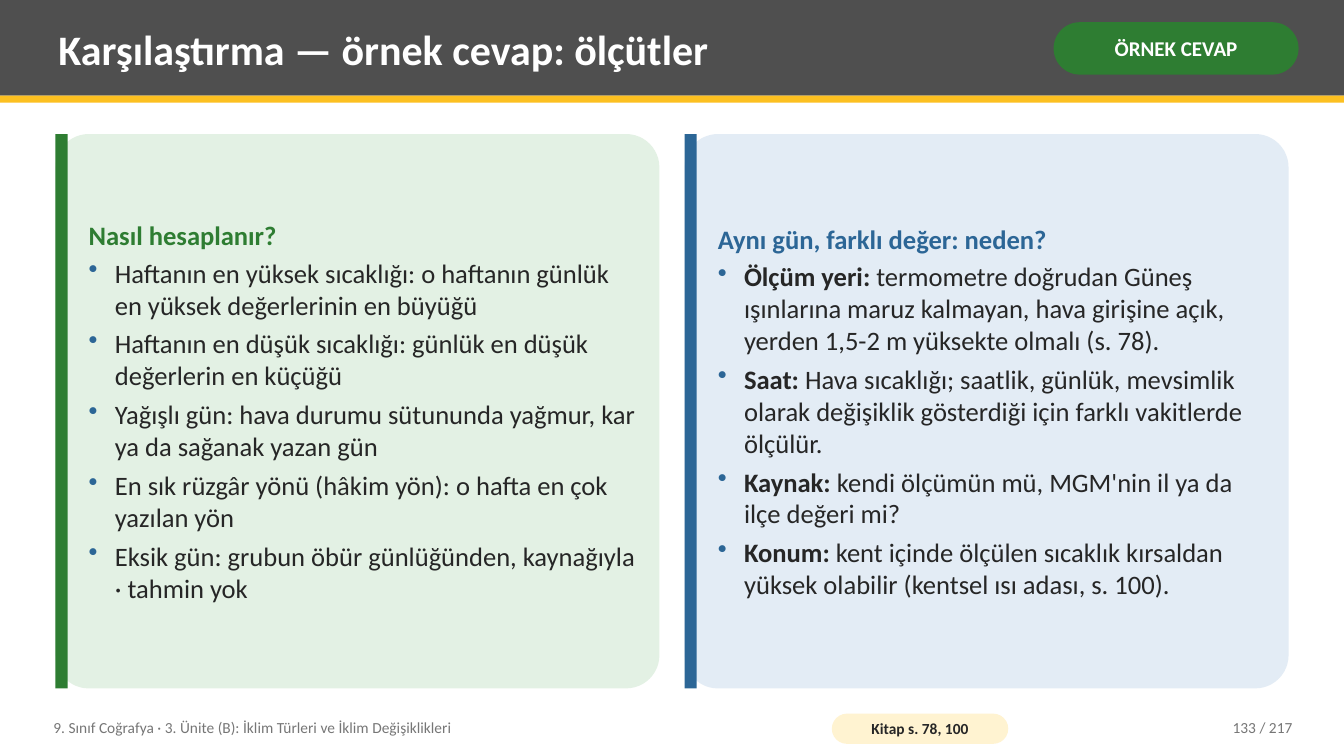
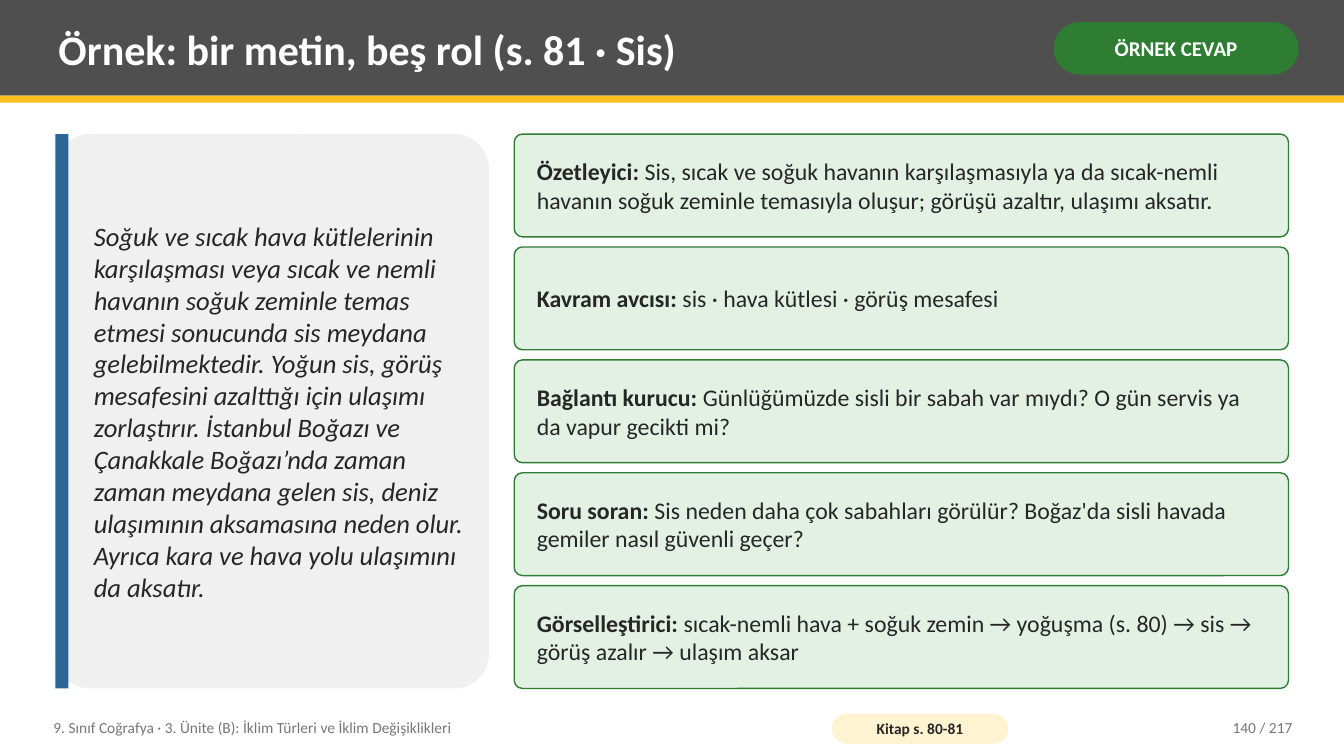
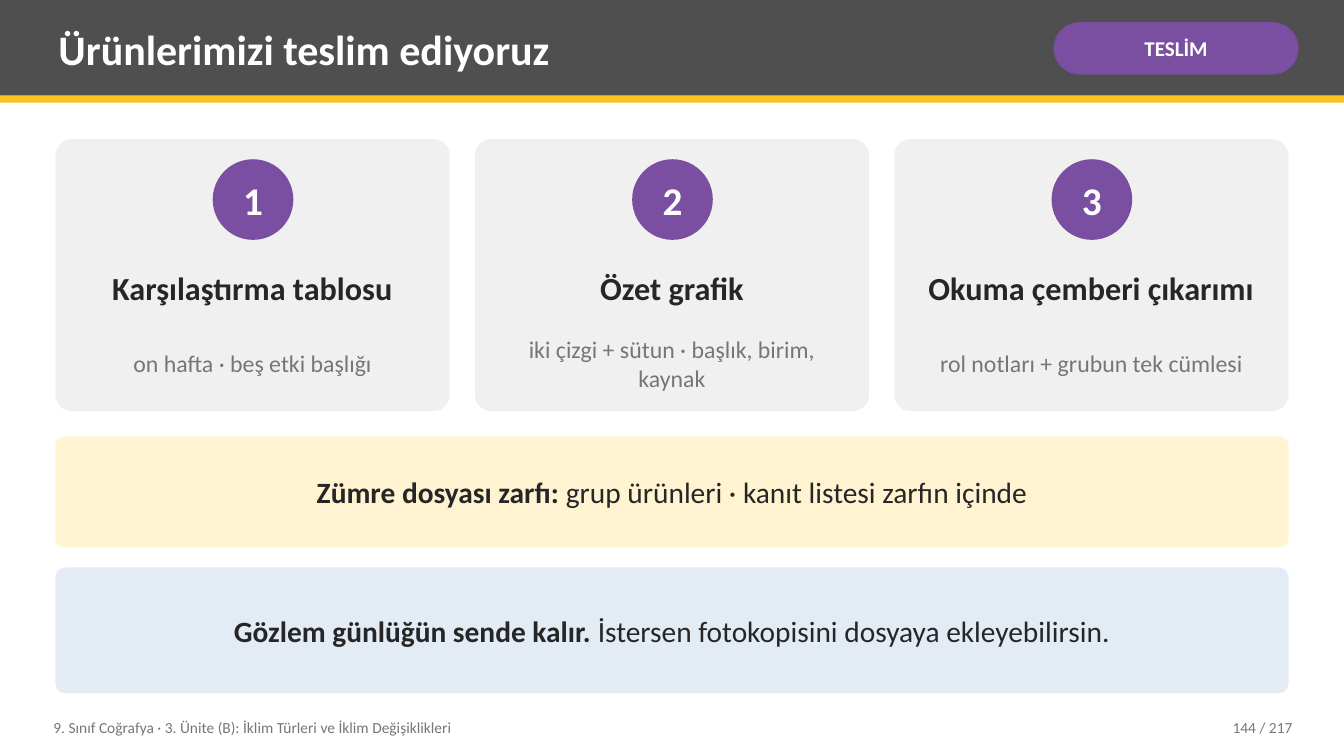
import pptx
import pptx.util
import pptx.dml.color
import pptx.enum.shapes
import pptx.enum.text
import lxml.etree
from pptx.oxml.ns import qn


class Theme:
    font = "Calibri"
    white, dark, gold = "FFFFFF", "4F4F4F", "FCC021"
    ink, muted = "262626", "767676"
    green, blue, purple = "2E7D32", "2C6696", "7A4EA0"
    mint, sky, cream, grey = "E3F1E4", "E3ECF5", "FFF3D1", "F0F0F0"
    title, digit, name, note = 30, 28, 23, 21
    body, role, tag, foot = 19, 17, 15, 11


PX = 9144  # 100 px to the inch
LEFT, WIDE, GAP = 55, 1223, 25
TOP, TALL = 133, 550

Pt = pptx.util.Pt
Rgb = pptx.dml.color.RGBColor.from_string
Kind = pptx.enum.shapes.MSO_SHAPE
Align = pptx.enum.text.PP_ALIGN


def put(slide, at, fill=None, kind=Kind.RECTANGLE, curve=None, edge=None):
    """Add a shape at px (left, top, width, height), or a text box if no fill."""
    at = [n * PX for n in at]
    if fill is None:
        return slide.shapes.add_textbox(*at)
    if curve is not None:
        kind = Kind.ROUNDED_RECTANGLE
    shape = slide.shapes.add_shape(kind, *at)
    shape.shadow.inherit = False
    shape.fill.solid()
    shape.fill.fore_color.rgb = Rgb(fill)
    if curve is not None:
        shape.adjustments[0] = curve
    if edge:
        shape.line.color.rgb = Rgb(edge)
        shape.line.width = Pt(1)
    else:
        shape.line.fill.background()
    return shape


def say(shape, size, ink, *runs, align=Align.LEFT, pad=(8, 4), after=0, dot=None):
    """Add one paragraph of (text, style) runs; style holds b and i letters."""
    frame = shape.text_frame
    frame.word_wrap = True
    frame.vertical_anchor = pptx.enum.text.MSO_ANCHOR.MIDDLE
    frame.margin_left = frame.margin_right = pad[0] * PX
    frame.margin_top = frame.margin_bottom = pad[1] * PX
    para = frame.add_paragraph() if frame.text else frame.paragraphs[0]
    para.alignment = align
    para.space_after = Pt(after)
    if dot:
        props = para._p.get_or_add_pPr()
        props.set("marL", str(26 * PX))
        props.set("indent", str(-26 * PX))
        tint = lxml.etree.SubElement(props, qn("a:buClr"))
        lxml.etree.SubElement(tint, qn("a:srgbClr"), val=dot)
        lxml.etree.SubElement(props, qn("a:buChar"), char="•")
    for text, style in runs:
        run = para.add_run()
        run.text = text
        run.font.name = Theme.font
        run.font.size = Pt(size)
        run.font.color.rgb = Rgb(ink)
        run.font.bold = "b" in style
        run.font.italic = "i" in style


deck = pptx.Presentation()
deck.slide_width, deck.slide_height = 1333 * PX, 750 * PX

# Shared header and footer
pages = [
    ("Karşılaştırma — örnek cevap: ölçütler", "ÖRNEK CEVAP", Theme.green,
     "Kitap s. 78, 100", 133),
    ("Örnek: bir metin, beş rol (s. 81 · Sis)", "ÖRNEK CEVAP", Theme.green,
     "Kitap s. 80-81", 140),
    ("Ürünlerimizi teslim ediyoruz", "TESLİM", Theme.purple, None, 144),
]
slides = []
for title, tag, tone, book, page in pages:
    slide = deck.slides.add_slide(deck.slide_layouts[6])
    slides.append(slide)
    put(slide, (0, 0, 1333, 95), Theme.dark)
    put(slide, (0, 95, 1333, 7), Theme.gold)
    say(put(slide, (50, 7, 975, 82)), Theme.title, Theme.white, (title, "b"))
    say(put(slide, (1045, 22, 243, 52), tone, curve=0.5),
        Theme.tag, Theme.white, (tag, "b"), align=Align.CENTER, pad=(5, 2))
    say(put(slide, (45, 704, 760, 36)), Theme.foot, Theme.muted,
        ("9. Sınıf Coğrafya · 3. Ünite (B): İklim Türleri ve İklim Değişiklikleri", ""))
    if book:
        say(put(slide, (825, 708, 175, 30), Theme.cream, curve=0.5),
            Theme.foot, Theme.ink, (book, "b"), align=Align.CENTER, pad=(4, 0))
    say(put(slide, (1130, 704, 160, 36)), Theme.foot, Theme.muted,
        (f"{page} / 217", ""), align=Align.RIGHT)
rules, roles, goods = slides

# Criteria: two panels of bullets
panels = [
    ("Nasıl hesaplanır?", Theme.green, Theme.mint, [
        ("", "Haftanın en yüksek sıcaklığı: o haftanın günlük en yüksek değerlerinin en büyüğü"),
        ("", "Haftanın en düşük sıcaklığı: günlük en düşük değerlerin en küçüğü"),
        ("", "Yağışlı gün: hava durumu sütununda yağmur, kar ya da sağanak yazan gün"),
        ("", "En sık rüzgâr yönü (hâkim yön): o hafta en çok yazılan yön"),
        ("", "Eksik gün: grubun öbür günlüğünden, kaynağıyla · tahmin yok"),
    ]),
    ("Aynı gün, farklı değer: neden?", Theme.blue, Theme.sky, [
        ("Ölçüm yeri:", " termometre doğrudan Güneş ışınlarına maruz kalmayan, "
         "hava girişine açık, yerden 1,5-2 m yüksekte olmalı (s. 78)."),
        ("Saat:", " Hava sıcaklığı; saatlik, günlük, mevsimlik olarak değişiklik "
         "gösterdiği için farklı vakitlerde ölçülür."),
        ("Kaynak:", " kendi ölçümün mü, MGM'nin il ya da ilçe değeri mi?"),
        ("Konum:", " kent içinde ölçülen sıcaklık kırsaldan yüksek olabilir "
         "(kentsel ısı adası, s. 100)."),
    ]),
]
wide = (WIDE - GAP) // 2
for col, (head, tone, fill, items) in enumerate(panels):
    left = LEFT + col * (wide + GAP)
    put(rules, (left, TOP, wide, TALL), fill, curve=0.06)
    put(rules, (left, TOP, 12, TALL), tone)
    text = put(rules, (left + 25, TOP + 6, wide - 35, TALL - 12))
    say(text, Theme.body, tone, (head, "b"), after=4)
    for num, (key, rest) in enumerate(items, 1):
        runs = [(key, "b"), (rest, "")] if key else [(rest, "")]
        say(text, Theme.body, Theme.ink, *runs,
            after=5 if num < len(items) else 0, dot=Theme.blue)

# Roles: the passage and five answers
put(roles, (LEFT, TOP, 430, TALL), Theme.grey, curve=0.08)
put(roles, (LEFT, TOP, 13, TALL), Theme.blue)
say(put(roles, (85, TOP, 385, TALL)), Theme.body, Theme.ink, (
    "Soğuk ve sıcak hava kütlelerinin karşılaşması veya sıcak ve nemli havanın "
    "soğuk zeminle temas etmesi sonucunda sis meydana gelebilmektedir. Yoğun sis, "
    "görüş mesafesini azalttığı için ulaşımı zorlaştırır. İstanbul Boğazı ve "
    "Çanakkale Boğazı’nda zaman zaman meydana gelen sis, deniz ulaşımının "
    "aksamasına neden olur. Ayrıca kara ve hava yolu ulaşımını da aksatır.", "i"))
answers = [
    ("Özetleyici:", " Sis, sıcak ve soğuk havanın karşılaşmasıyla ya da sıcak-nemli "
     "havanın soğuk zeminle temasıyla oluşur; görüşü azaltır, ulaşımı aksatır."),
    ("Kavram avcısı:", " sis · hava kütlesi · görüş mesafesi"),
    ("Bağlantı kurucu:", " Günlüğümüzde sisli bir sabah var mıydı? O gün servis ya da "
     "vapur gecikti mi?"),
    ("Soru soran:", " Sis neden daha çok sabahları görülür? Boğaz'da sisli havada "
     "gemiler nasıl güvenli geçer?"),
    ("Görselleştirici:", " sıcak-nemli hava + soğuk zemin → yoğuşma (s. 80) → sis → "
     "görüş azalır → ulaşım aksar"),
]
for row, (key, rest) in enumerate(answers):
    card = put(roles, (510, TOP + row * 112, 768, 102), Theme.mint,
               curve=0.08, edge=Theme.green)
    say(card, Theme.role, Theme.ink, (key, "b"), (rest, ""), pad=(20, 8))

# Goods: three numbered cards and two notes
cards = [
    ("Karşılaştırma tablosu", "on hafta · beş etki başlığı"),
    ("Özet grafik", "iki çizgi + sütun · başlık, birim, kaynak"),
    ("Okuma çemberi çıkarımı", "rol notları + grubun tek cümlesi"),
]
wide = (WIDE - 2 * GAP) // 3
for col, (name, note) in enumerate(cards):
    left = LEFT + col * (wide + GAP)
    put(goods, (left, 138, wide, 270), Theme.grey, curve=0.06)
    disc = put(goods, (left + 156, 158, 80, 80), Theme.purple, Kind.OVAL)
    say(disc, Theme.digit, Theme.white, (str(col + 1), "b"),
        align=Align.CENTER, pad=(0, 0))
    disc.text_frame.word_wrap = False
    say(put(goods, (left + 15, 248, wide - 30, 75)), Theme.name, Theme.ink,
        (name, "b"), align=Align.CENTER)
    say(put(goods, (left + 15, 323, wide - 30, 75)), Theme.role, Theme.muted,
        (note, ""), align=Align.CENTER)

notes = [
    (433, 110, Theme.cream, "Zümre dosyası zarfı:",
     " grup ürünleri · kanıt listesi zarfın içinde"),
    (563, 125, Theme.sky, "Gözlem günlüğün sende kalır.",
     " İstersen fotokopisini dosyaya ekleyebilirsin."),
]
for top, tall, fill, key, rest in notes:
    say(put(goods, (LEFT, top, WIDE, tall), fill, curve=0.08), Theme.note, Theme.ink,
        (key, "b"), (rest, ""), align=Align.CENTER, pad=(22, 8))

deck.save("out.pptx")
